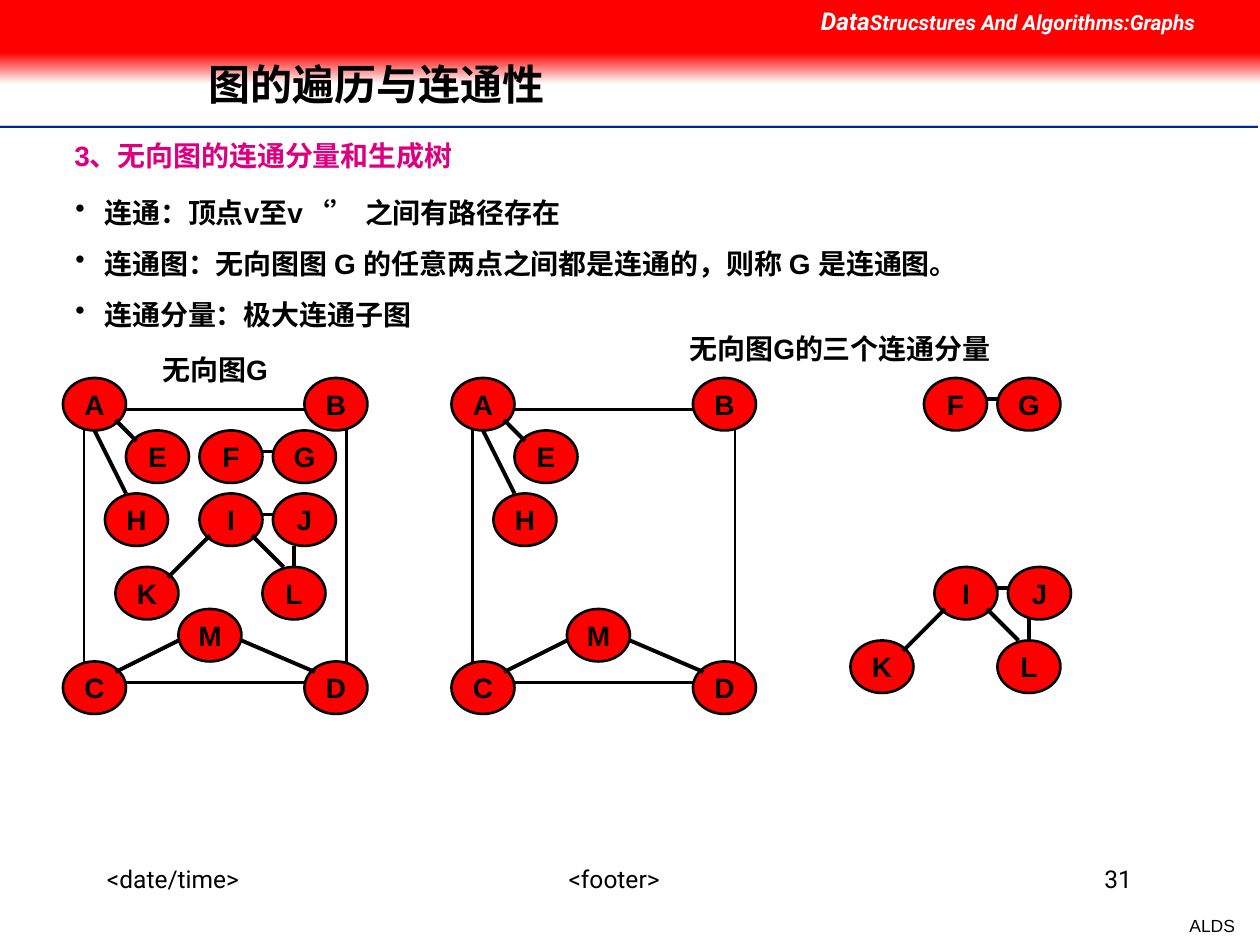
from lxml import etree
from pptx import Presentation
from pptx import util as u
from pptx.dml import color
from pptx.enum import shapes, text
from pptx.oxml import ns

COLOURS = {"red": "FF0000", "pale": "FEFEFE", "ink": "000000", "white": "FFFFFF",
           "pink": "DC0081", "grey": "CECECE", "navy": "00279F"}
COLUMNS, ROWS = 120, 90
LEFT, CENTER, RIGHT = text.PP_ALIGN.LEFT, text.PP_ALIGN.CENTER, text.PP_ALIGN.RIGHT
BOLD = {"size": 16, "bold": True}
FOOTER = {"size": 14, "name": "Roboto"}
HEADER = {"name": "Roboto", "colour": "white", "bold": True, "italic": True}

RING = {
    "nodes": {"A": (6, 36), "B": (29, 36), "C": (6, 63), "D": (29, 63),
              "E": (12, 41), "H": (10, 47), "M": (17, 58)},
    "sides": [(12, 39, 29, 39), (8, 41, 8, 63), (33, 41, 33, 63), (12, 65, 29, 65)],
    "links": [(23, 61, 30, 64), (11, 64, 17, 61), (9, 41, 12, 47), (11, 40, 13, 42)],
}
PAIR = {"nodes": {"F": (19, 41), "G": (26, 41)}, "sides": [], "links": [(25, 43, 26, 43)]}
QUAD = {
    "nodes": {"I": (19, 47), "J": (26, 47), "K": (11, 54), "L": (25, 54)},
    "sides": [],
    "links": [(28, 54, 28, 52), (16, 55, 20, 51), (25, 49, 26, 49), (27, 54, 24, 51)],
}


class Painter:
    """Draws styled elements on the current page, measured in grid columns and rows."""

    def __init__(self, deck):
        self.deck = deck
        self.page = deck.slides.add_slide(deck.slide_layouts[6])

    def place(self, *lengths):
        units = (self.deck.slide_width / COLUMNS, self.deck.slide_height / ROWS)
        return [u.Emu(round(length * units[i % 2])) for i, length in enumerate(lengths)]

    def colour(self, name):
        return color.RGBColor.from_string(COLOURS[name])

    def add_span(self, para, words, style):
        span = para.add_run()
        span.text = words
        values = {"name": "Arial", "size": 16, "colour": "ink", **style}
        span.font.color.rgb = self.colour(values.pop("colour"))
        values["size"] = u.Pt(values["size"])
        for key, value in values.items():
            setattr(span.font, key, value)

    def label(self, area, paragraphs, align=LEFT, wrap=True, anchor=text.MSO_ANCHOR.TOP,
              spacing=None, indent=0, bullet=False):
        frame = self.page.shapes.add_textbox(*self.place(*area)).text_frame
        frame.word_wrap, frame.vertical_anchor = wrap, anchor
        for i, spans in enumerate(paragraphs):
            para = frame.add_paragraph() if i else frame.paragraphs[0]
            props = para._p.get_or_add_pPr()
            if indent:
                props.set("marL", str(u.Inches(indent)))
            if bullet:
                props.set("indent", str(-u.Inches(indent)))
                etree.SubElement(props, ns.qn("a:buChar")).set("char", "•")
            formats = {"alignment": align, "line_spacing": spacing,
                       "space_before": u.Pt(10) if i else None}
            for key, value in formats.items():
                setattr(para, key, value)
            for words, style in spans:
                self.add_span(para, words, style)

    def line(self, ends, colour="ink", width=1.5):
        link = self.page.shapes.add_connector(shapes.MSO_CONNECTOR.STRAIGHT, *self.place(*ends))
        link.line.color.rgb = self.colour(colour)
        link.line.width = u.Pt(width)
        etree.SubElement(link._element.spPr, ns.qn("a:effectLst"))

    def band(self, area, first, last=None):
        box = self.page.shapes.add_shape(shapes.MSO_SHAPE.RECTANGLE, *self.place(*area))
        box.shadow.inherit = False
        box.line.fill.background()
        if last:
            box.fill.gradient()
            box.fill.gradient_angle = 270
            for stop, name in zip(box.fill.gradient_stops, (first, last)):
                stop.color.rgb = self.colour(name)
        else:
            box.fill.solid()
            box.fill.fore_color.rgb = self.colour(first)

    def node(self, name, column, row):
        oval = self.page.shapes.add_shape(shapes.MSO_SHAPE.OVAL, *self.place(column, row, 6, 5))
        oval.shadow.inherit = False
        oval.fill.solid()
        oval.fill.fore_color.rgb = self.colour("red")
        oval.line.color.rgb = self.colour("ink")
        oval.line.width = u.Pt(1.5)
        frame = oval.text_frame
        frame.word_wrap, frame.vertical_anchor = False, text.MSO_ANCHOR.MIDDLE
        frame.paragraphs[0].alignment = CENTER
        self.add_span(frame.paragraphs[0], name, BOLD)

    def graph(self, part, right=0, down=0):
        for name, (column, row) in part["nodes"].items():
            self.node(name, column + right, row + down)
        for kind, width in (("sides", 1.5), ("links", 2.25)):
            for x1, y1, x2, y2 in part[kind]:
                self.line((x1 + right, y1 + down, x2 + right, y2 + down), width=width)


def main():
    deck = Presentation()
    deck.slide_width, deck.slide_height = u.Inches(10), u.Inches(7.5)
    painter = Painter(deck)

    for row, colour, width in ((12.1, "grey", 2), (12.1, "navy", 1), (12.3, "white", 1)):
        painter.line((0, row, 119.8, row), colour, width)
    painter.band((0, 5, COLUMNS, 3), "red", "pale")
    painter.band((0, 0, COLUMNS, 5), "red")
    painter.label((77, 0, 43, 4.1), [[("Data", {"size": 14, **HEADER}),
                  ("Strucstures And Algorithms:Graphs", {"size": 12, **HEADER})]])

    painter.label((112.1, 86.6, 6.7, 3.2), [[("ALDS", {"size": 10})]], RIGHT, wrap=False)
    for column, width, words, align in ((9, 23, "<date/time>", LEFT),
                                        (41, 35, "<footer>", CENTER), (86, 23, "31", RIGHT)):
        painter.label((column, 81.7, width, 6), [[(words, FOOTER)]], align)

    painter.label((18.7, 3.8, 90.6, 8.9), [[("图的遍历与连通性", {"size": 24, "bold": True})]],
                  anchor=text.MSO_ANCHOR.MIDDLE, spacing=0.9)
    painter.label((-0.1, 12.6, 45.1, 4.4),
                  [[("3、无向图的连通分量和生成树", {**BOLD, "colour": "pink"})]],
                  wrap=False, indent=0.5)

    for part, right, down in ((RING, 37, 0), (PAIR, 69, -5), (QUAD, 70, 7)):
        painter.graph(part)
        painter.graph(part, right, down)

    for area, words in (((63, 31, 34, 4.4), "无向图G的三个连通分量"),
                        ((12, 33, 17, 4.4), "无向图G")):
        painter.label(area, [[(words, BOLD)]], CENTER)
    points = ("连通：顶点v至v‘’ 之间有路径存在",
              "连通图：无向图图 G 的任意两点之间都是连通的，则称 G 是连通图。",
              "连通分量：极大连通子图")
    painter.label((6, 18, 108, 14.2), [[(point, BOLD)] for point in points],
                  indent=0.23, bullet=True)
    deck.save("out.pptx")


if __name__ == "__main__":
    main()
